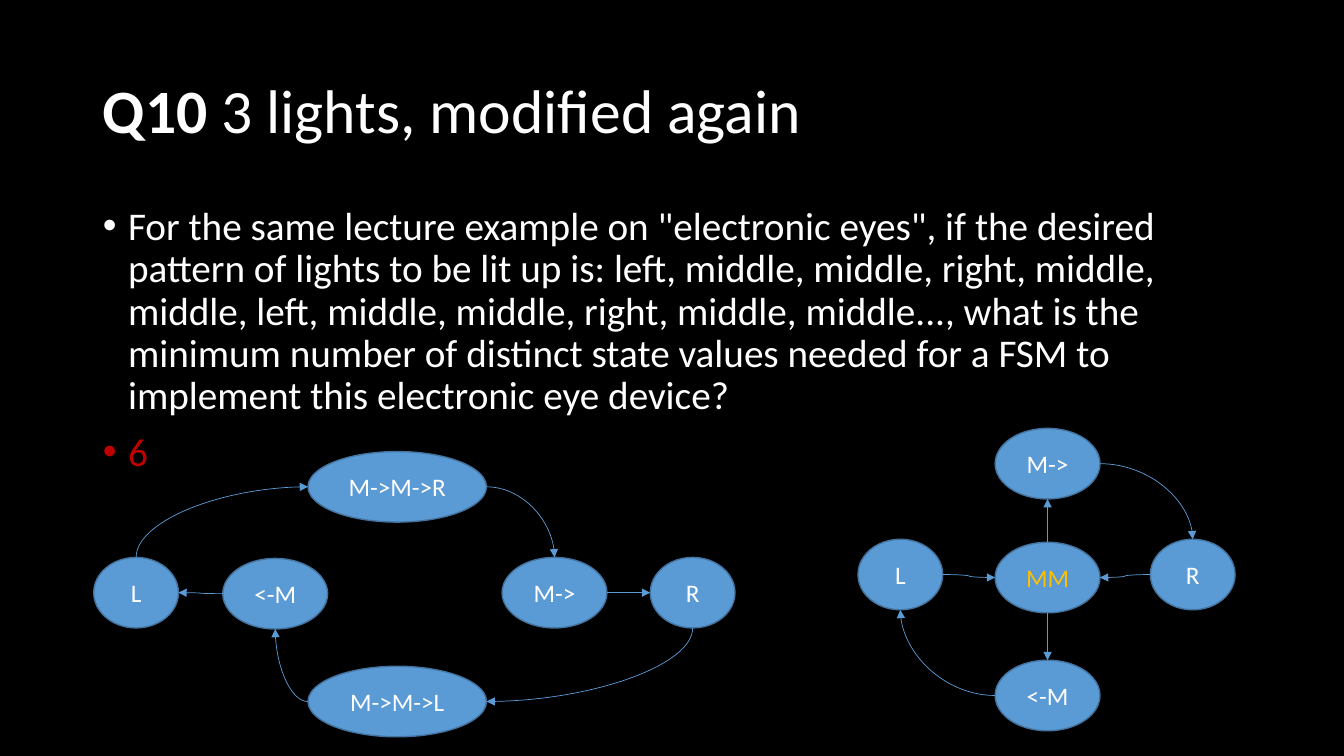
from dataclasses import dataclass

from lxml.etree import SubElement
from pptx import Presentation
from pptx.dml.color import RGBColor
from pptx.enum.shapes import MSO_CONNECTOR, MSO_SHAPE
from pptx.enum.text import MSO_ANCHOR, MSO_AUTO_SIZE, PP_ALIGN
from pptx.oxml.ns import qn
from pptx.util import Inches, Pt


@dataclass
class Theme:
    font: str = "Calibri"
    back: RGBColor = RGBColor(0x00, 0x00, 0x00)
    text: RGBColor = RGBColor(0xFF, 0xFF, 0xFF)
    answer: RGBColor = RGBColor(0xC0, 0x00, 0x00)
    shared: RGBColor = RGBColor(0xFF, 0xC0, 0x00)
    state: RGBColor = RGBColor(0x5B, 0x9B, 0xD5)
    edge: RGBColor = RGBColor(0x43, 0x73, 0x9E)
    title_size: int = 44
    body_size: int = 28
    state_size: int = 18


theme = Theme()


def add_span(para, text, size, color, bold=False):
    span = para.add_run()
    span.text = text
    span.font.name = theme.font
    span.font.size = Pt(size)
    span.font.bold = bold
    span.font.color.rgb = color


deck = Presentation()
deck.slide_width, deck.slide_height = Inches(13.33), Inches(7.5)
page = deck.slides.add_slide(deck.slide_layouts[1])
page.background.fill.solid()
page.background.fill.fore_color.rgb = theme.back

# Title and body share one column
title, body = page.placeholders
for box, top, height, anchor in (
    (title, 0.4, 1.45, MSO_ANCHOR.MIDDLE),
    (body, 2, 4.76, MSO_ANCHOR.TOP),
):
    box.left, box.width = Inches(0.92), Inches(11.5)
    box.top, box.height = Inches(top), Inches(height)
    box.text_frame.auto_size = MSO_AUTO_SIZE.NONE
    box.text_frame.word_wrap = True
    box.text_frame.vertical_anchor = anchor

heading = title.text_frame.paragraphs[0]
heading.alignment = PP_ALIGN.LEFT
heading.line_spacing = 0.9
add_span(heading, "Q10 ", theme.title_size, theme.text, bold=True)
add_span(heading, "3 lights, modified again", theme.title_size, theme.text)

# Question and answer
question = (
    'For the same lecture example on "electronic eyes", if the desired pattern of lights '
    "to be lit up is: left, middle, middle, right, middle, middle, left, middle, middle, "
    "right, middle, middle..., what is the minimum number of distinct state values needed "
    "for a FSM to implement this electronic eye device?"
)
for number, (text, color) in enumerate(((question, theme.text), ("6", theme.answer))):
    para = body.text_frame.add_paragraph() if number else body.text_frame.paragraphs[0]
    para.line_spacing = 0.9
    para.space_before = Pt(10)
    layout = para._p.get_or_add_pPr()
    layout.set("marL", str(Inches(0.25)))
    layout.set("indent", str(-Inches(0.25)))
    SubElement(layout, qn("a:buFont"), typeface="Arial")
    SubElement(layout, qn("a:buChar"), char="•")
    add_span(para, text, theme.body_size, color)

# States of both machines: key, label, centre x, centre y, width
state_height = 0.7
end, middle, wide = 0.84, 1.04, 1.77
states = (
    ("six L", "L", 1.35, 5.88, end),
    ("six to R", "M->M->R", 3.94, 4.83, wide),
    ("six R", "R", 6.87, 5.88, end),
    ("six M right", "M->", 5.5, 5.88, middle),
    ("six M left", "<-M", 2.73, 5.89, middle),
    ("six to L", "M->M->L", 3.94, 6.96, wide),
    ("five L", "L", 8.93, 5.7, end),
    ("five R", "R", 11.83, 5.7, end),
    ("five M right", "M->", 10.39, 4.6, middle),
    ("five M left", "<-M", 10.39, 6.9, middle),
    ("five MM", "MM", 10.39, 5.73, middle),
)
ports = {}
for key, label, x, y, width in states:
    oval = page.shapes.add_shape(
        MSO_SHAPE.OVAL, Inches(x - width / 2), Inches(y - state_height / 2),
        Inches(width), Inches(state_height),
    )
    oval.shadow.inherit = False
    oval.fill.solid()
    oval.fill.fore_color.rgb = theme.state
    oval.line.color.rgb = theme.edge
    oval.line.width = Pt(1)
    oval.text_frame.word_wrap = True
    oval.text_frame.vertical_anchor = MSO_ANCHOR.MIDDLE
    para = oval.text_frame.paragraphs[0]
    para.alignment = PP_ALIGN.CENTER
    add_span(para, label, theme.state_size, theme.shared if label == "MM" else theme.text)
    ports[key] = {
        "left": (x - width / 2, y),
        "right": (x + width / 2, y),
        "top": (x, y - state_height / 2),
        "bottom": (x, y + state_height / 2),
    }

# Transitions: state and side left, state and side reached
transitions = (
    ("six L", "top", "six to R", "left"),
    ("six to R", "right", "six M right", "top"),
    ("six M right", "right", "six R", "left"),
    ("six R", "bottom", "six to L", "right"),
    ("six to L", "left", "six M left", "bottom"),
    ("six M left", "left", "six L", "right"),
    ("five L", "right", "five MM", "left"),
    ("five MM", "top", "five M right", "bottom"),
    ("five M right", "right", "five R", "top"),
    ("five R", "left", "five MM", "right"),
    ("five MM", "bottom", "five M left", "top"),
    ("five M left", "left", "five L", "bottom"),
)
upright = ("top", "bottom")
for source, exit_side, target, entry_side in transitions:
    (x1, y1), (x2, y2) = ports[source][exit_side], ports[target][entry_side]
    across, down = x2 - x1, y2 - y1
    # A curve that leaves vertically is a horizontal one turned by 90 degrees
    turned = exit_side in upright
    if turned:
        across, down = down, -across
    center_x, center_y = (x1 + x2) / 2, (y1 + y2) / 2
    arrow = page.shapes.add_connector(
        MSO_CONNECTOR.CURVE,
        Inches(center_x - across / 2), Inches(center_y - down / 2),
        Inches(center_x + across / 2), Inches(center_y + down / 2),
    )
    arrow.line.color.rgb = theme.state
    arrow.line.width = Pt(0.5)
    shape_properties = arrow._element.spPr
    if turned:
        shape_properties.find(qn("a:xfrm")).set("rot", str(90 * 60000))
    if turned != (entry_side in upright):
        shape_properties.find(qn("a:prstGeom")).set("prst", "curvedConnector2")
    SubElement(shape_properties.find(qn("a:ln")), qn("a:tailEnd"), type="triangle")
    SubElement(shape_properties, qn("a:effectLst"))

deck.save("out.pptx")
